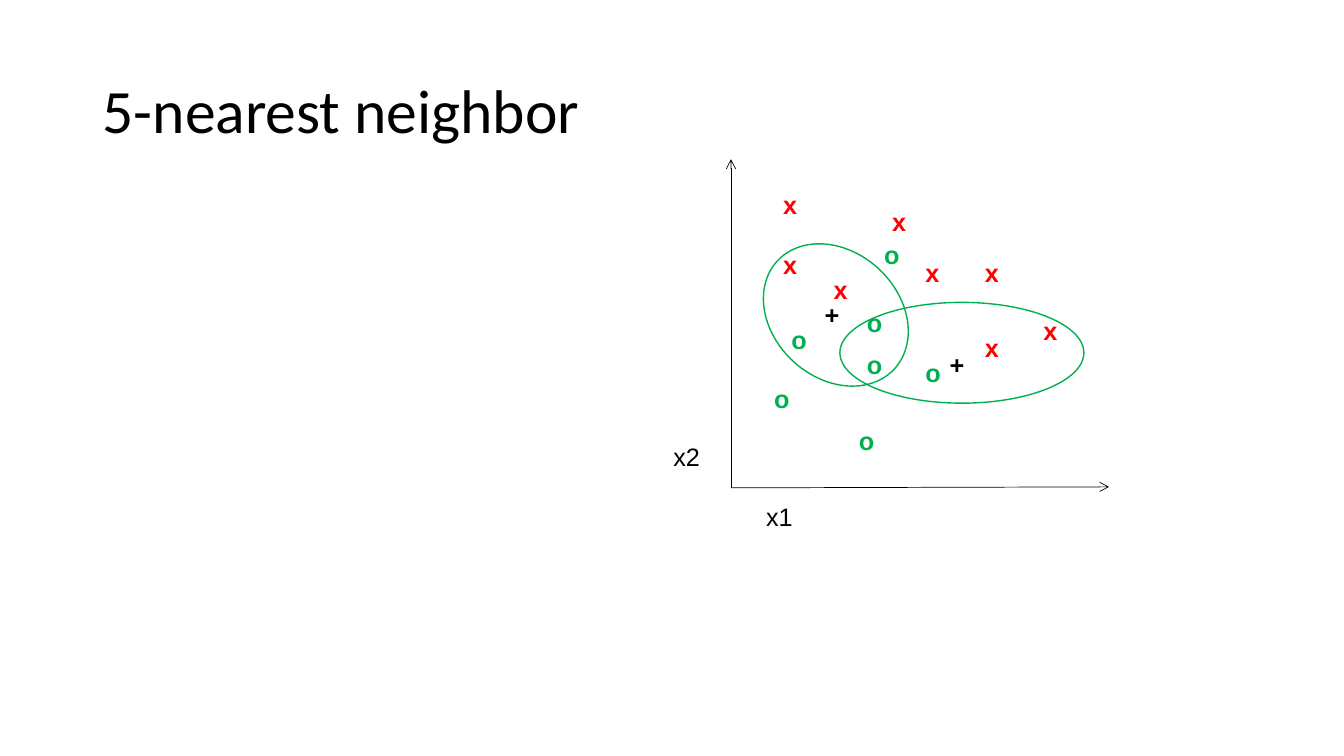
from lxml import etree
from pptx import Presentation
from pptx.dml.color import RGBColor
from pptx.enum.shapes import MSO_CONNECTOR, MSO_SHAPE
from pptx.enum.text import MSO_ANCHOR
from pptx.oxml.ns import qn
from pptx.util import Inches, Pt

ELLIPSE = MSO_SHAPE.OVAL
STRAIGHT = MSO_CONNECTOR.STRAIGHT
TOP, MIDDLE = MSO_ANCHOR.TOP, MSO_ANCHOR.MIDDLE

BLACK, RED, GREEN = "000000", "FF0000", "00B050"
LABEL_HEIGHT = 0.4
ORIGIN = (7.25, 4.84)

# mark: (colour, box width, top-left corners)
MARKS = {
    "x": (RED, 0.34, [(9.08, 2.5), (9.67, 2.5), (9.67, 3.25), (10.25, 3.08),
                      (7.67, 1.83), (7.67, 2.42), (8.75, 2), (8.17, 2.67)]),
    "o": (GREEN, 0.36, [(8.67, 2.33), (9.08, 3.5), (7.58, 3.75), (7.75, 3.17),
                        (8.42, 4.17), (8.5, 3.42), (8.5, 3)]),
    "+": (BLACK, 0.35, [(8.08, 2.92), (9.32, 3.42)]),
}


def rgb(hex_colour):
    return RGBColor.from_string(hex_colour)


def add_text(slide, text, left, top, width, height=LABEL_HEIGHT, *, size=18,
             font="Arial", colour=BLACK, bold=False, wrap=False, anchor=TOP,
             line_spacing=None):
    box = slide.shapes.add_textbox(Inches(left), Inches(top),
                                   Inches(width), Inches(height))
    frame = box.text_frame
    frame.word_wrap = wrap
    frame.vertical_anchor = anchor
    paragraph = frame.paragraphs[0]
    paragraph.line_spacing = line_spacing
    run = paragraph.add_run()
    run.text = text
    run.font.size = Pt(size)
    run.font.name = font
    run.font.bold = bold
    run.font.color.rgb = rgb(colour)


def add_axis(slide, end):
    """Draw an arrow from the origin of the plot to end."""
    axis = slide.shapes.add_connector(STRAIGHT, *map(Inches, ORIGIN + end))
    axis.line.color.rgb = rgb(BLACK)
    axis.line.width = Pt(0.5)
    outline = axis.line._get_or_add_ln()
    etree.SubElement(outline, qn("a:tailEnd"), type="arrow")
    etree.SubElement(axis._element.spPr, qn("a:effectLst"))


def add_neighborhood(slide, left, top, width, height, rotation=0):
    ring = slide.shapes.add_shape(ELLIPSE, Inches(left), Inches(top),
                                  Inches(width), Inches(height))
    ring.rotation = rotation
    ring.shadow.inherit = False
    ring.fill.background()
    ring.line.color.rgb = rgb(GREEN)
    ring.line.width = Pt(1)


def main():
    deck = Presentation()
    deck.slide_width, deck.slide_height = Inches(13.33), Inches(7.5)
    slide = deck.slides.add_slide(deck.slide_layouts[6])

    add_text(slide, "5-nearest neighbor", 0.92, 0.4, 11.5, 1.45, size=44,
             font="Calibri", wrap=True, anchor=MIDDLE, line_spacing=0.9)

    add_axis(slide, (7.25, 1.58))
    add_axis(slide, (11, 4.83))
    add_text(slide, "x2", 6.58, 4.33, 0.47)
    add_text(slide, "x1", 7.5, 4.92, 0.47)

    for mark, (colour, width, corners) in MARKS.items():
        for left, top in corners:
            add_text(slide, mark, left, top, width, colour=colour, bold=True)

    add_neighborhood(slide, 7.5, 2.5, 1.58, 1.25, rotation=42.8)
    add_neighborhood(slide, 8.33, 3, 2.42, 1)

    deck.save("out.pptx")


if __name__ == "__main__":
    main()
